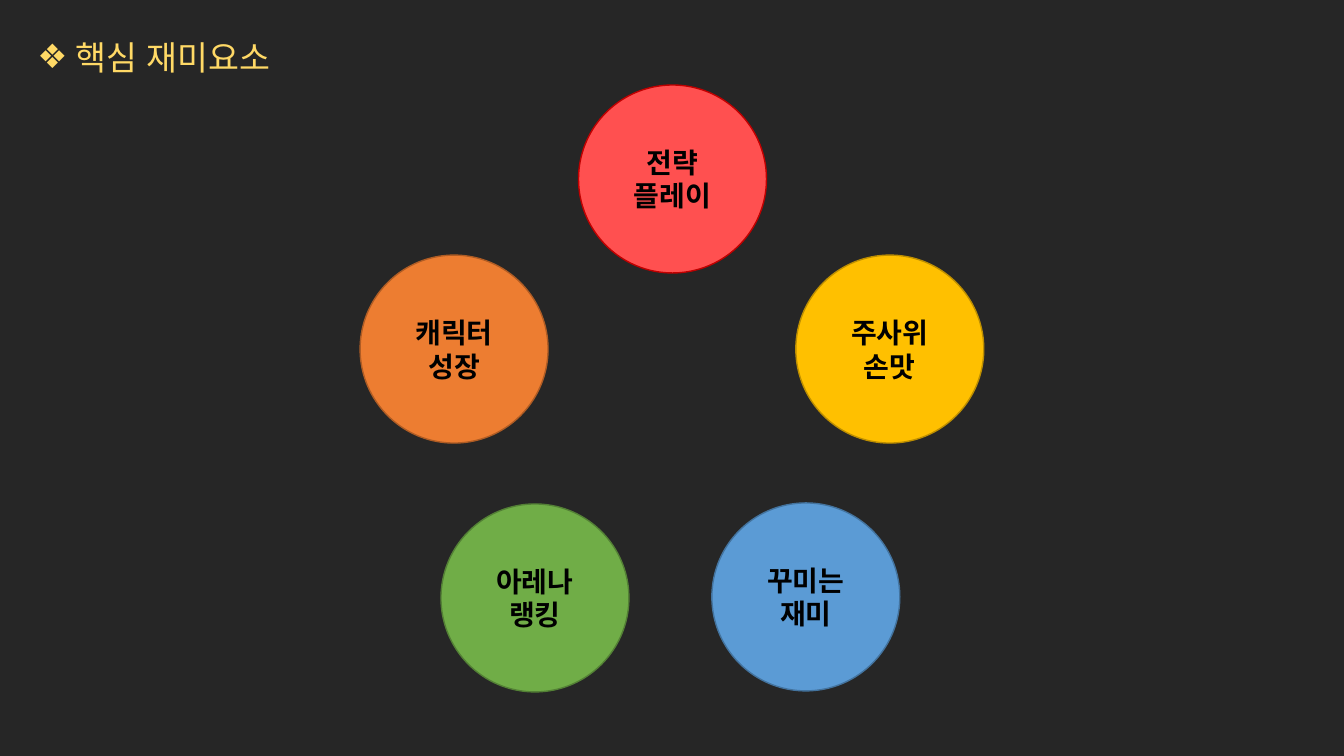
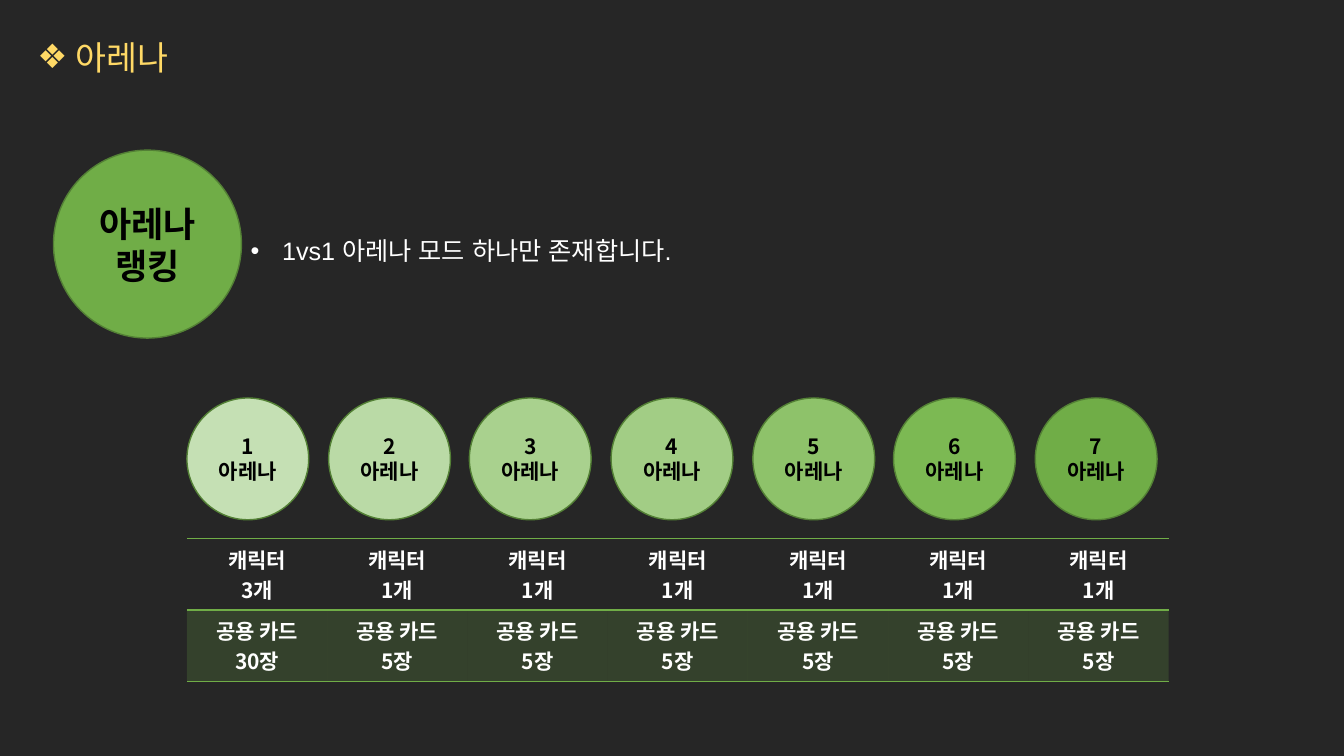
from dataclasses import dataclass

from lxml.etree import SubElement
from pptx import Presentation
from pptx.dml.color import RGBColor
from pptx.enum.shapes import MSO_SHAPE as Shape
from pptx.enum.text import MSO_ANCHOR as Anchor
from pptx.enum.text import MSO_AUTO_SIZE as Fit
from pptx.enum.text import PP_ALIGN as Align
from pptx.oxml.ns import qn
from pptx.util import Emu, Pt

SCALE = 9525  # EMU in one px
SANS = "Arial"
KOREAN = "Noto Sans CJK KR"

DARK = RGBColor(0x26, 0x26, 0x26)
CREAM = RGBColor(0xFF, 0xD9, 0x66)
WHITE = RGBColor(0xFF, 0xFF, 0xFF)
BLACK = RGBColor(0x00, 0x00, 0x00)
RED = RGBColor(0xFF, 0x50, 0x50)
CRIMSON = RGBColor(0xC0, 0x00, 0x00)
ORANGE = RGBColor(0xED, 0x7D, 0x31)
RUST = RGBColor(0xAF, 0x5C, 0x24)
GOLD = RGBColor(0xFF, 0xC0, 0x00)
OCHRE = RGBColor(0xBD, 0x8E, 0x00)
BLUE = RGBColor(0x5B, 0x9B, 0xD5)
NAVY = RGBColor(0x43, 0x73, 0x9E)
GREEN = RGBColor(0x70, 0xAD, 0x47)
MOSS = RGBColor(0x53, 0x80, 0x35)
SHADES = (
    RGBColor(0xC5, 0xE0, 0xB4),
    RGBColor(0xBA, 0xDA, 0xA6),
    RGBColor(0xA9, 0xD1, 0x8E),
    RGBColor(0xA2, 0xCD, 0x85),
    RGBColor(0x8E, 0xC2, 0x6A),
    RGBColor(0x7C, 0xB9, 0x53),
    GREEN,
)

BALL = 179  # large circle
DOT = 116  # small circle
LEFT = 178  # left edge of the arena row and its table
SPAN = 808  # from the first small circle to the last
ROW = 68  # table row, tall enough for two lines
NO_STYLE = "{2D5ABB26-0587-4C30-8999-92F81FD0307C}"


@dataclass(frozen=True)
class Disc:
    text: str
    left: int
    top: int
    fill: RGBColor
    line: RGBColor = MOSS
    size: int = BALL
    points: int = 20


@dataclass(frozen=True)
class Item:
    """A bulleted line held by a placeholder."""

    text: str
    box: tuple[int, int, int, int]
    mark: str
    indent: int
    points: int
    color: RGBColor


FUN = (
    Disc("주사위\n손맛", 758, 243, GOLD, OCHRE),
    Disc("아레나\n랭킹", 420, 480, GREEN),
    Disc("꾸미는\n재미", 678, 479, BLUE, NAVY),
    Disc("전략\n플레이", 551, 81, RED, CRIMSON),
    Disc("캐릭터\n성장", 343, 243, ORANGE, RUST),
)
ROWS = (("캐릭터", "개", 3, 1), ("공용 카드", "장", 30, 5))


def px(count: int) -> Emu:
    return Emu(count * SCALE)


def style(para, face: str, points: int, color: RGBColor, bold: bool = False) -> None:
    font = para.font
    font.size, font.bold, font.name = Pt(points), bold, face
    font.color.rgb = color
    # Hangul takes its face from a:ea
    SubElement(font._element, qn("a:ea"), typeface=face)


def center(frame, text: str, points: int, color: RGBColor) -> None:
    frame.text = text
    for para in frame.paragraphs:
        para.alignment = Align.CENTER
        style(para, KOREAN, points, color, bold=True)


def put_item(holder, item: Item) -> None:
    holder.left, holder.top, holder.width, holder.height = map(px, item.box)
    frame = holder.text_frame
    frame.text = item.text
    frame.word_wrap = True
    frame.auto_size = Fit.SHAPE_TO_FIT_TEXT
    frame.vertical_anchor = Anchor.TOP
    para = frame.paragraphs[0]
    para.alignment = Align.LEFT
    para.line_spacing = 1.5
    para.space_before = Pt(0)
    props = para._p.get_or_add_pPr()
    props.set("marL", str(px(item.indent)))
    props.set("indent", str(-px(item.indent)))
    SubElement(props, qn("a:buFont"), typeface=SANS)
    SubElement(props, qn("a:buChar"), char=item.mark)
    style(para, SANS, item.points, item.color)


def add_page(deck, layout: int, title: str):
    page = deck.slides.add_slide(deck.slide_layouts[layout])
    put_item(page.shapes.title, Item(title, (26, 11, 1186, 68), "❖", 36, 24, CREAM))
    return page


def add_disc(page, disc: Disc) -> None:
    shape = page.shapes.add_shape(
        Shape.OVAL, px(disc.left), px(disc.top), px(disc.size), px(disc.size)
    )
    shape.shadow.inherit = False
    shape.fill.solid()
    shape.fill.fore_color.rgb = disc.fill
    shape.line.color.rgb = disc.line
    shape.line.width = Pt(1)
    shape.text_frame.vertical_anchor = Anchor.MIDDLE
    center(shape.text_frame, disc.text, disc.points, BLACK)


def rule_cell(cell) -> None:
    """Draw a green line above and below the cell."""
    props = cell._tc.get_or_add_tcPr()
    for spot, tag in enumerate(("a:lnT", "a:lnB")):
        line = SubElement(props, qn(tag), w=str(Pt(1)))
        SubElement(SubElement(line, qn("a:solidFill")), qn("a:srgbClr"), val=str(GREEN))
        props.insert(spot, line)


def tint(cell) -> None:
    """Fill the cell with green at 20% opacity."""
    cell.fill.solid()
    cell.fill.fore_color.rgb = GREEN
    color = cell._tc.tcPr.find(".//" + qn("a:srgbClr"))
    SubElement(color, qn("a:alpha"), val="20000")


def add_prizes(page) -> None:
    count = len(SHADES)
    frame = page.shapes.add_table(
        len(ROWS), count, px(LEFT), px(513), px(935), px(ROW * len(ROWS))
    )
    table = frame.table
    table.first_row = table.horz_banding = False
    table._tbl.tblPr.find(qn("a:tableStyleId")).text = NO_STYLE
    for row, (name, unit, first, rest) in enumerate(ROWS):
        for col in range(count):
            cell = table.cell(row, col)
            amount = rest if col else first
            center(cell.text_frame, f"{name}\n{amount}{unit}", 15, WHITE)
            if row:
                tint(cell)
            else:
                cell.fill.background()
            rule_cell(cell)


def add_fun(deck) -> None:
    page = add_page(deck, 5, "핵심 재미요소")
    for disc in FUN:
        add_disc(page, disc)


def add_arena(deck) -> None:
    page = add_page(deck, 1, "아레나")
    note = "1vs1 아레나 모드 하나만 존재합니다."
    put_item(page.placeholders[1], Item(note, (229, 205, 685, 54), "•", 30, 18, WHITE))
    add_disc(page, Disc("아레나\n랭킹", 51, 143, GREEN, points=25))
    for i, shade in enumerate(SHADES):
        left = LEFT + round(SPAN * i / (len(SHADES) - 1))
        add_disc(page, Disc(f"{i + 1}\n아레나", left, 379, shade, size=DOT, points=15))
    add_prizes(page)


def main() -> None:
    deck = Presentation()
    deck.slide_width, deck.slide_height = px(1280), px(720)
    back = deck.slide_master.background.fill
    back.solid()
    back.fore_color.rgb = DARK
    add_fun(deck)
    add_arena(deck)
    deck.save("out.pptx")


if __name__ == "__main__":
    main()
